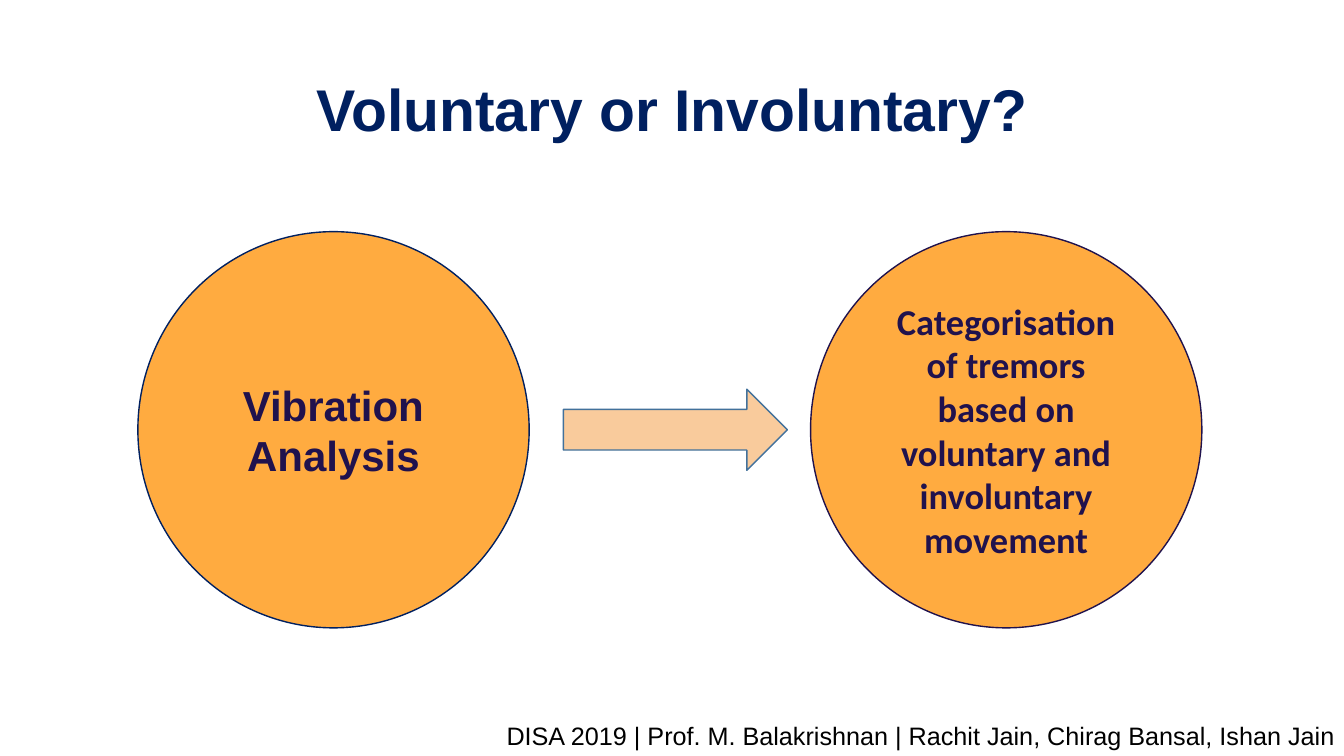
from pptx import Presentation
from pptx.dml.color import RGBColor
from pptx.enum.shapes import MSO_SHAPE
from pptx.enum.text import MSO_ANCHOR, PP_ALIGN
from pptx.util import Pt

OVAL, ARROW = MSO_SHAPE.OVAL, MSO_SHAPE.RIGHT_ARROW
TOP, MIDDLE = MSO_ANCHOR.TOP, MSO_ANCHOR.MIDDLE
CENTER, RIGHT = PP_ALIGN.CENTER, PP_ALIGN.RIGHT

NAVY = RGBColor(0x00, 0x20, 0x60)
PLUM = RGBColor(0x20, 0x12, 0x4D)
ORANGE = RGBColor(0xFF, 0xAB, 0x40)
PEACH = RGBColor(0xF9, 0xCB, 0x9C)
STEEL = RGBColor(0x42, 0x71, 0x9B)
BLACK = RGBColor(0x00, 0x00, 0x00)

WIDTH, HEIGHT = 960, 540


def write(shape, text, size, color, name="Arial", bold=True,
          align=CENTER, anchor=MIDDLE, spacing=1.0):
    frame = shape.text_frame
    frame.word_wrap = True
    frame.vertical_anchor = anchor
    para = frame.paragraphs[0]
    para.text = text
    para.alignment = align
    para.line_spacing = spacing
    style = {"name": name, "size": Pt(size), "bold": bold}
    for key, value in style.items():
        setattr(para.font, key, value)
    para.font.color.rgb = color


def add_label(slide, box, text, size, color, **style):
    label = slide.shapes.add_textbox(*map(Pt, box))
    write(label, text, size, color, **style)


def add_form(slide, kind, box, fill, line):
    form = slide.shapes.add_shape(kind, *map(Pt, box))
    form.shadow.inherit = False
    form.fill.solid()
    form.fill.fore_color.rgb = fill
    form.line.color.rgb = line
    form.line.width = Pt(1)
    return form


def add_flow(slide, box):
    """Two circles at the ends of the box, with an arrow between them."""
    left, top, width, height = box
    circle, arrow, tall = 279.5, 160, 58

    # Arrow, centred on the height of the circles
    add_form(slide, ARROW,
             (left + circle + 24.5, top + (height - tall) / 2, arrow, tall),
             PEACH, STEEL)

    # Circles
    steps = [
        (left, NAVY, "Vibration Analysis", 30, "Arial"),
        (left + width - circle, PLUM,
         "Categorisation of tremors based on voluntary and "
         "involuntary movement", 26, "Calibri"),
    ]
    for x, line, text, size, name in steps:
        oval = add_form(slide, OVAL, (x, top, circle, height), ORANGE, line)
        write(oval, text, size, PLUM, name=name)


def build(deck):
    slide = deck.slides.add_slide(deck.slide_layouts[6])

    # Title
    add_label(slide, (0, 28, WIDTH, 104.5), "Voluntary or Involuntary?",
              42, NAVY, spacing=0.9)

    # Flow from analysis to result
    add_flow(slide, (98.5, 165.5, 760, 283))

    # Footer
    add_label(slide, (316, HEIGHT - 29, 644.5, 29),
              "DISA 2019 | Prof. M. Balakrishnan | "
              "Rachit Jain, Chirag Bansal, Ishan Jain",
              18, BLACK, bold=False, align=RIGHT, anchor=TOP)


def main():
    deck = Presentation()
    deck.slide_width, deck.slide_height = Pt(WIDTH), Pt(HEIGHT)
    build(deck)
    deck.save("out.pptx")


if __name__ == "__main__":
    main()
